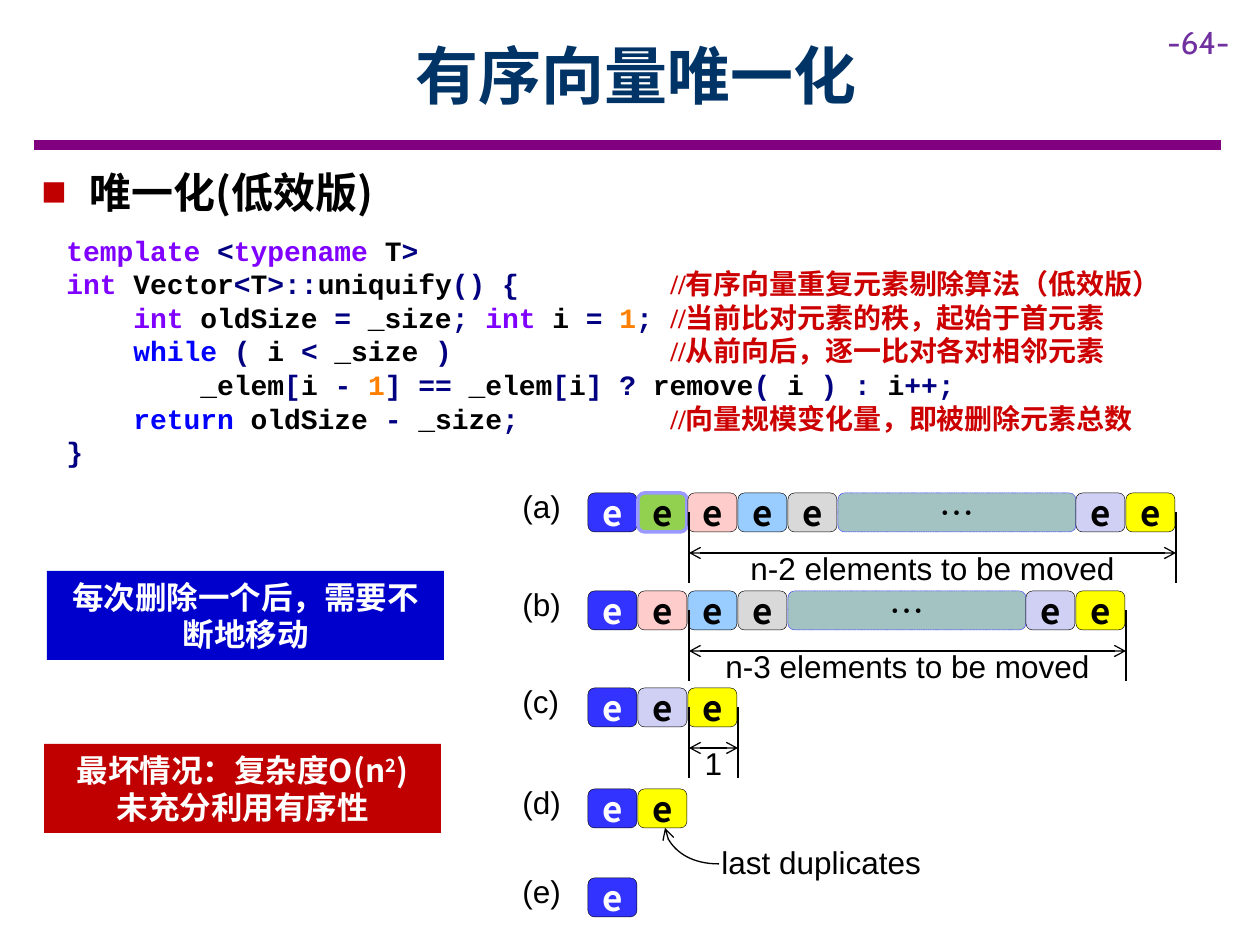
"""Build the slide on removing duplicates from a sorted vector."""
import pptx
import pptx.dml.color
import pptx.enum.dml
import pptx.enum.shapes
import pptx.enum.text
import pptx.oxml.ns
import pptx.oxml.xmlchemy
import pptx.util
import lxml.etree

PX = 914400 / 126
COLORS = {
    "black": "000000", "white": "FFFFFF", "title": "003366", "rule": "800080",
    "number": "7030A0", "red": "C00000", "navy": "0000CC", "blue": "3333FF",
    "green": "92D050", "pink": "FFCCCC", "sky": "99CCFF", "gray": "D9D9D9",
    "teal": "A3C2C2", "lilac": "D0D0F5", "yellow": "FFFF00", "halo": "9999FF",
    "type": "8000FF", "sign": "000080", "digit": "FF8000", "keyword": "0000FF",
    "comment": "CC0000",
}
RGB = {name: pptx.dml.color.RGBColor.from_string(value) for name, value in COLORS.items()}
HAN = "Noto Sans CJK SC"
LEFT, CENTER = pptx.enum.text.PP_ALIGN.LEFT, pptx.enum.text.PP_ALIGN.CENTER
MIDDLE, TOP = pptx.enum.text.MSO_ANCHOR.MIDDLE, pptx.enum.text.MSO_ANCHOR.TOP
KINDS = pptx.enum.shapes.MSO_SHAPE
CONNECTORS = pptx.enum.shapes.MSO_CONNECTOR
qn = pptx.oxml.ns.qn

deck = pptx.Presentation()
deck.slide_width, deck.slide_height = pptx.util.Inches(10), pptx.util.Inches(7.5)
page = deck.slides.add_slide(deck.slide_layouts[6])


def add_text(area, lines, size, face=HAN, color="black", bold=False, align=LEFT,
             anchor=TOP, kind=None, fill=None, spacing=None):
    """Add a text box, or a filled shape, holding lines of text or of colored spans."""
    area = [round(value * PX) for value in area]
    if kind is None:
        box = page.shapes.add_textbox(*area)
    else:
        box = page.shapes.add_shape(kind, *area)
        box.shadow.inherit = False
        box.fill.solid()
        box.fill.fore_color.rgb = RGB[fill]
        box.line.fill.background()
    frame = box.text_frame
    frame.word_wrap = True
    frame.vertical_anchor = anchor
    for index, line in enumerate(lines):
        para = frame.paragraphs[0] if index == 0 else frame.add_paragraph()
        para.alignment = align
        if spacing:
            para.line_spacing = pptx.util.Pt(spacing)
        para.font.size = pptx.util.Pt(size)
        para.font.bold = bold
        fonts = [(para.font, color, face)]
        for text, tint in [(line, None)] if isinstance(line, str) else line:
            span = para.add_run()
            span.text = text
            if tint:
                fonts.append((span.font, tint, "Times New Roman" if tint == "comment" else face))
        for font, tint, name in fonts:
            font.color.rgb = RGB[tint]
            font.name = name
            lxml.etree.SubElement(font._element, qn("a:ea")).set("typeface", HAN)
    return box


def add_line(start, end, color="black", width=0.75, ends=(), kind=CONNECTORS.STRAIGHT):
    """Add a connector with open arrowheads at the named ends."""
    line = page.shapes.add_connector(kind, *[round(value * PX) for value in (*start, *end)])
    line.line.color.rgb = RGB[color]
    line.line.width = pptx.util.Pt(width)
    for name in ends:
        lxml.etree.SubElement(line.line._get_or_add_ln(), qn(name)).set("type", "arrow")
    lxml.etree.SubElement(line._element.spPr, qn("a:effectLst"))
    return line


add_line((34, 145), (1221, 145), "rule", 6)
add_text((1155, 16, 105, 51), ["-64-"], 18, "Cabin", "number", anchor=MIDDLE)
add_text((113, 11, 1047, 126), ["有序向量唯一化"], 36, color="title", bold=True,
         align=CENTER, anchor=MIDDLE)

heading = add_text((29, 160, 503, 63), ["唯一化(低效版)"], 24, bold=True, anchor=MIDDLE)
props = heading.text_frame.paragraphs[0]._p.get_or_add_pPr()
props.set("marL", str(round(48 * PX)))
props.set("indent", str(round(-48 * PX)))
bullet_color = lxml.etree.Element(qn("a:buClr"))
lxml.etree.SubElement(bullet_color, qn("a:srgbClr")).set("val", COLORS["red"])
bullet_font = lxml.etree.Element(qn("a:buFont"))
bullet_font.set("typeface", "Arial")
bullet = lxml.etree.Element(qn("a:buChar"))
bullet.set("char", "■")
for place, item in enumerate((bullet_color, bullet_font, bullet)):
    props.insert(place, item)

code = [
    [("template ", "type"), ("<", "sign"), ("typename", "type"), (" T", "black"), (">", "sign")],
    [("int ", "type"), ("Vector", "black"), ("<", "sign"), ("T", "black"), (">::", "sign"),
     ("uniquify", "black"), ("() {\t", "sign"),
     ("//有序向量重复元素剔除算法（低效版）", "comment")],
    [("    ", "black"), ("int ", "type"), ("oldSize ", "black"), ("=", "sign"),
     (" _size", "black"), ("; ", "sign"), ("int ", "type"), ("i ", "black"), ("= ", "sign"),
     ("1", "digit"), (";\t", "sign"), ("//当前比对元素的秩，起始于首元素", "comment")],
    [("    ", "black"), ("while ", "keyword"), ("( ", "sign"), ("i ", "black"), ("<", "sign"),
     (" _size ", "black"), (")\t", "sign"), ("//从前向后，逐一比对各对相邻元素", "comment")],
    [("        _elem", "black"), ("[", "sign"), ("i ", "black"), ("- ", "sign"), ("1", "digit"),
     ("] ==", "sign"), (" _elem", "black"), ("[", "sign"), ("i", "black"), ("] ?", "sign"),
     (" remove", "black"), ("( ", "sign"), ("i ", "black"), (") : ", "sign"), ("i", "black"),
     ("++;", "sign")],
    [("    ", "black"), ("return ", "keyword"), ("oldSize ", "black"), ("-", "sign"),
     (" _size", "black"), (";\t", "sign"), ("//向量规模变化量，即被删除元素总数", "comment")],
    [("}", "sign")],
]
listing = add_text((54, 227, 1171, 251), code, 16, "Courier New", bold=True, spacing=19.2)
for para in listing.text_frame.paragraphs:
    tabs = lxml.etree.Element(qn("a:tabLst"))
    stop = lxml.etree.SubElement(tabs, qn("a:tab"))
    stop.set("pos", str(round(604 * PX)))
    stop.set("algn", "l")
    para._p.pPr.find(qn("a:defRPr")).addprevious(tabs)

rows = [
    ("(a)", 493, "blue green pink sky gray teal lilac yellow", "n-2 elements to be moved"),
    ("(b)", 591, "blue pink sky gray teal lilac yellow", "n-3 elements to be moved"),
    ("(c)", 688, "blue lilac yellow", "1"),
    ("(d)", 789, "blue yellow", None),
    ("(e)", 878, "blue", None),
]
row_left, pitch, gap_width = 588, 50, 238
for label, top, fills, measure in rows:
    add_text((510, top - 12, 84, 50), [label], 18, "Arial")
    left = row_left
    for fill in fills.split():
        skipped = fill == "teal"
        width = gap_width if skipped else pitch
        cell = add_text((left, top, width if skipped else width - 1, 39),
                        ["…" if skipped else "e"], 20,
                        color="white" if fill == "blue" else "black", bold=not skipped,
                        align=CENTER, anchor=MIDDLE, kind=KINDS.ROUNDED_RECTANGLE, fill=fill)
        frame = cell.text_frame
        frame.margin_left = frame.margin_right = frame.margin_top = frame.margin_bottom = 0
        cell.line.color.rgb = RGB[{"green": "halo", "teal": "blue"}.get(fill, "black")]
        cell.line.width = pptx.util.Pt(2 if fill == "green" else 0.25)
        if skipped:
            cell.line.dash_style = pptx.enum.dml.MSO_LINE.SQUARE_DOT
        left += width
    if measure:
        start = row_left + 2 * pitch + 1
        for edge in (start, left):
            add_line((edge, top + 19), (edge, top + 90))
        add_line((start, top + 60), (left, top + 60), ends=("a:headEnd", "a:tailEnd"))
        add_text((start, top + 50, left - start, 50), [measure], 18, "Arial", align=CENTER)

add_text((709, 837, 280, 50), ["last duplicates"], 18, "Arial")
pointer = add_line((719, 864), (665, 828), ends=("a:tailEnd",), kind=CONNECTORS.CURVE)
pointer._element.spPr.find(qn("a:prstGeom")).set("prst", "curvedConnector2")

notes = [
    ((44, 744, 397, 89), "red",
     [[("最坏情况：复杂度O(n", None), ("2", None), (")", None)], "未充分利用有序性"]),
    ((47, 571, 397, 89), "navy", ["每次删除一个后，需要不断地移动"]),
]
for area, fill, lines in notes:
    note = add_text(area, lines, 18, color="white", bold=True, align=CENTER, anchor=MIDDLE,
                    kind=KINDS.RECTANGLE, fill=fill, spacing=21.6)
    for span in note.text_frame.paragraphs[0].runs:
        if span.text == "2":
            span.font._element.set("baseline", "30000")

deck.save("out.pptx")
